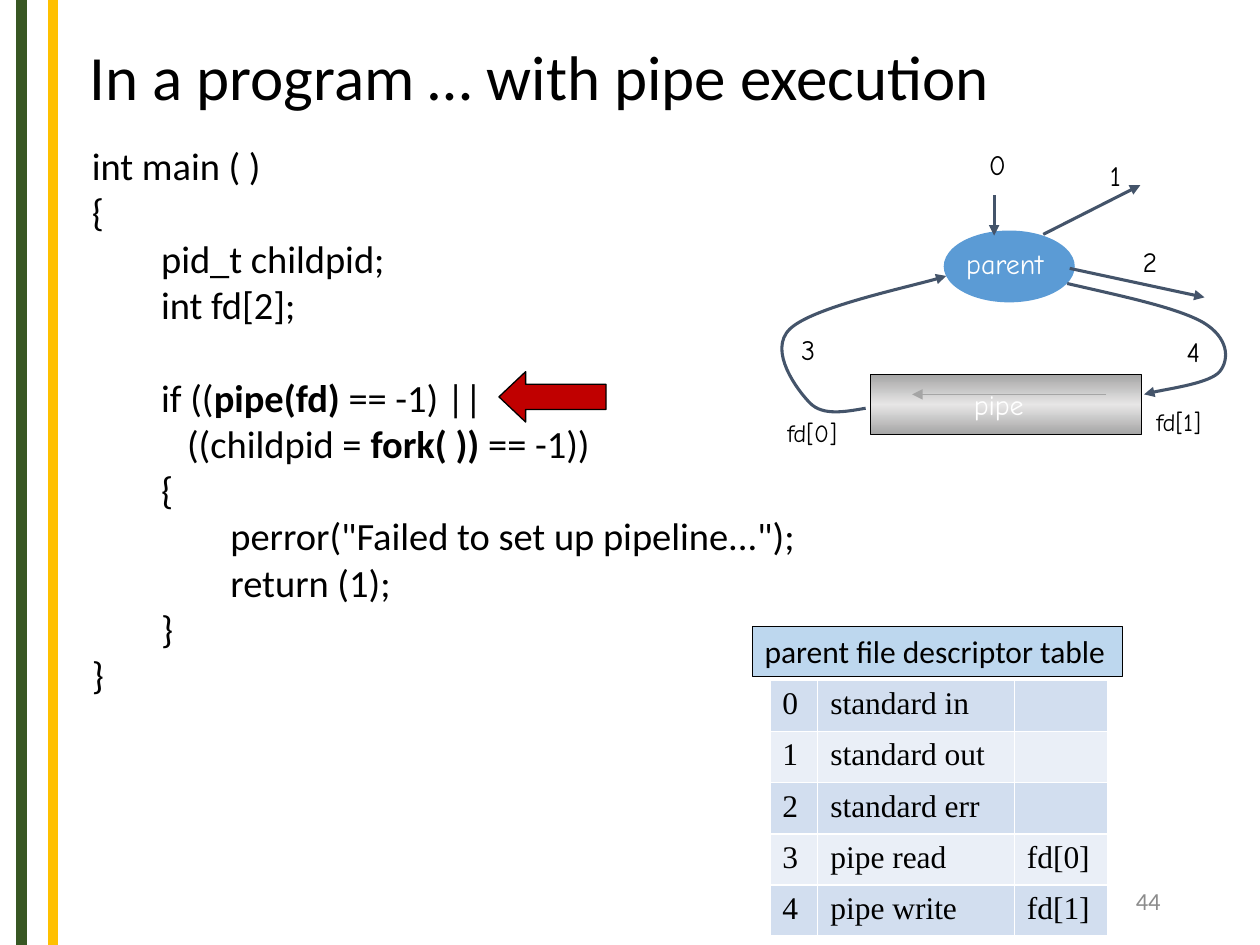
from copy import deepcopy
from dataclasses import dataclass
from typing import NamedTuple

from pptx import Presentation
from pptx.dml.color import RGBColor
from pptx.enum.shapes import MSO_CONNECTOR, MSO_SHAPE
from pptx.enum.text import MSO_ANCHOR, MSO_AUTO_SIZE, PP_ALIGN
from pptx.oxml.ns import qn
from pptx.util import Inches, Pt
from lxml import etree

STRAIGHT = MSO_CONNECTOR.STRAIGHT
RECTANGLE, OVAL, LEFT_ARROW = MSO_SHAPE.RECTANGLE, MSO_SHAPE.OVAL, MSO_SHAPE.LEFT_ARROW
TOP, MIDDLE = MSO_ANCHOR.TOP, MSO_ANCHOR.MIDDLE
LEFT, RIGHT = PP_ALIGN.LEFT, PP_ALIGN.RIGHT
GROW = MSO_AUTO_SIZE.SHAPE_TO_FIT_TEXT
COLUMNS, ROWS = 100, 75
BODY, SKETCH, SERIF = "Calibri", "Comic Neue", "Times New Roman"
BLACK, WHITE, SLATE, GREY = "000000", "FFFFFF", "44546A", "A5A5A5"

deck = Presentation()
deck.slide_width, deck.slide_height = Inches(10), Inches(7.5)
page = deck.slides.add_slide(deck.slide_layouts[6])


class Area(NamedTuple):
    column: float
    row: float
    columns: float
    rows: float


@dataclass
class Label:
    text: str
    area: Area
    size: float = 16
    color: str = BLACK
    font: str = SKETCH


@dataclass
class Line:
    start: tuple[float, float]
    end: tuple[float, float]
    color: str = SLATE
    width: float = 1.75
    arrow: bool = True


def across(columns: float) -> int:
    return round(deck.slide_width * columns / COLUMNS)


def down(rows: float) -> int:
    return round(deck.slide_height * rows / ROWS)


def place(area: Area) -> tuple[int, int, int, int]:
    return across(area.column), down(area.row), across(area.columns), down(area.rows)


def point(spot: tuple[float, float]) -> tuple[int, int]:
    return across(spot[0]), down(spot[1])


def rgb(value: str) -> RGBColor:
    return RGBColor.from_string(value)


def write(para, spans: list[tuple[str, bool]], size: float, color: str, font: str) -> None:
    for text, bold in spans:
        span = para.add_run()
        span.text = text
        for name, value in {"size": Pt(size), "name": font, "bold": bold}.items():
            setattr(span.font, name, value)
        span.font.color.rgb = rgb(color)


def draw_label(label: Label, wrap: bool = False, anchor=TOP, align=LEFT):
    box = page.shapes.add_textbox(*place(label.area))
    frame = box.text_frame
    frame.word_wrap, frame.vertical_anchor = wrap, anchor
    if not wrap:
        frame.auto_size = GROW
    para = frame.paragraphs[0]
    para.alignment = align
    write(para, [(label.text, False)], label.size, label.color, label.font)
    return box


def stroke(shape, color: str, width: float, arrow: bool = False) -> None:
    shape.line.color.rgb = rgb(color)
    shape.line.width = Pt(width)
    if arrow:
        outline = shape._element.xpath("./p:spPr/a:ln")[0]
        etree.SubElement(outline, qn("a:tailEnd"), type="triangle")


def draw_line(line: Line) -> None:
    connector = page.shapes.add_connector(STRAIGHT, *point(line.start), *point(line.end))
    stroke(connector, line.color, line.width, line.arrow)
    etree.SubElement(connector._element.spPr, qn("a:effectLst"))


def draw_shape(kind, area: Area, fill: str, outlined: bool = True):
    shape = page.shapes.add_shape(kind, *place(area))
    shape.shadow.inherit = False
    shape.fill.solid()
    shape.fill.fore_color.rgb = rgb(fill)
    if outlined:
        stroke(shape, BLACK, 0.75)
    else:
        shape.line.fill.background()
    return shape


def draw_curve(spots: list[tuple[float, float]]) -> None:
    builder = page.shapes.build_freeform(*point(spots[0]))
    builder.add_line_segments([point(spot) for spot in spots[1:]], close=False)
    curve = builder.convert_to_shape()
    curve.shadow.inherit = False
    curve.fill.background()
    stroke(curve, SLATE, 1.75, arrow=True)
    outline = curve._element.xpath(".//a:path")[0]
    segments = outline.findall(qn("a:lnTo"))
    for first in range(0, len(segments), 3):
        bezier = etree.SubElement(outline, qn("a:cubicBezTo"))
        for segment in segments[first:first + 3]:
            bezier.append(segment[0])
            outline.remove(segment)


def shade(shape, stops: list[tuple[float, str]]) -> None:
    shape.fill.gradient()
    shape.fill.gradient_angle = 90
    stop_list = shape._element.xpath(".//a:gsLst")[0]
    while len(stop_list) < len(stops):
        stop_list.append(deepcopy(stop_list[0]))
    for stop, (position, color) in zip(shape.fill.gradient_stops, stops):
        stop.position = position
        stop.color.rgb = rgb(color)


def draw_code(area: Area, lines: list[list[tuple[str, bool]]], gap_before: int) -> None:
    frame = page.shapes.add_textbox(*place(area)).text_frame
    frame.word_wrap, frame.auto_size = False, GROW
    for index, spans in enumerate(lines):
        para = frame.add_paragraph() if index else frame.paragraphs[0]
        if index == gap_before:
            para.space_before = Pt(26.8)
        write(para, spans, 22, BLACK, BODY)


def draw_table(area: Area, widths: list[float], rows: list[tuple[str, ...]]) -> None:
    table = page.shapes.add_table(len(rows), len(widths), *place(area)).table
    table.first_row = table.horz_banding = False
    for column, width in zip(table.columns, widths):
        column.width = across(width)
    for index, texts in enumerate(rows):
        for cell, text in zip(table.rows[index].cells, texts):
            properties = cell._tc.get_or_add_tcPr()
            for side in ("a:lnL", "a:lnR", "a:lnT", "a:lnB"):
                border = etree.SubElement(properties, qn(side), w=str(Pt(1)))
                paint = etree.SubElement(border, qn("a:solidFill"))
                etree.SubElement(paint, qn("a:srgbClr"), val=WHITE)
            cell.fill.solid()
            cell.fill.fore_color.rgb = rgb("EAEFF7" if index % 2 else "D2DEEF")
            if text:
                write(cell.text_frame.paragraphs[0], [(text, False)], 18, BLACK, SERIF)


for column, color in ((1.7, "385723"), (4.2, "FFC000")):
    draw_line(Line((column, 0), (column, ROWS), color, 6, False))

title = draw_label(Label("In a program … with pipe execution", Area(6.1, 0.1, 90.2, 12.5),
                         36, BLACK, BODY), wrap=True, anchor=MIDDLE)
title.text_frame.paragraphs[0].line_spacing = 0.9

pipe = draw_shape(RECTANGLE, Area(69.1, 29.7, 21.5, 4.8), GREY)
shade(pipe, [(0, GREY), (0.5, "E7E6E6"), (1, GREY)])
draw_shape(OVAL, Area(74.9, 18.3, 10.4, 5.7), "5B9BD5", outlined=False)

draw_curve([(68.7, 32.4), (67, 32.7), (65.3, 33), (64.3, 32), (63.3, 31), (60.9, 27.8),
            (62.7, 26.1), (64.5, 24.4), (73, 22.6), (75.1, 21.9)])
draw_curve([(84.7, 22.5), (89, 23.5), (93.4, 24.4), (95.5, 25.6), (97.5, 26.8),
            (97.6, 28.5), (96.8, 29.5), (96, 30.4), (91.8, 31), (90.8, 31.3)])

for line in (
    Line((82.8, 18.6), (90.5, 14.7)),
    Line((84.9, 21.3), (95.6, 23.6)),
    Line((78.9, 15.5), (78.9, 18.7)),
    Line((87.8, 31.3), (72.4, 31.3), GREY, 0.75),
):
    draw_line(line)

for label in (
    Label("pipe", Area(76.3, 30.3, 6.2, 3.7), color=WHITE),
    Label("parent", Area(75.7, 19.1, 8.8, 3.7), color=WHITE),
    Label("0", Area(77.5, 11.2, 3.4, 3.7)),
    Label("1", Area(87.1, 12.1, 3, 3.7)),
    Label("2", Area(89.7, 18.9, 3.4, 3.7)),
    Label("3", Area(62.6, 25.9, 3.4, 3.7)),
    Label("4", Area(93.2, 26.1, 3.4, 3.7)),
    Label("fd[0]", Area(61.5, 32.7, 6.8, 3.3), 14),
    Label("fd[1]", Area(90.8, 31.8, 6.5, 3.3), 14),
):
    draw_label(label)

draw_code(Area(6.3, 10.8, 58.5, 45.4), [
    [("int main ( )", False)],
    [("{", False)],
    [("        pid_t childpid;", False)],
    [("        int fd[2];", False)],
    [("        if ((", False), ("pipe(fd) ", True), ("== -1) ||", False)],
    [("           ((childpid = ", False), ("fork( )) ", True), ("== -1))", False)],
    [("        {", False)],
    [('                perror("Failed to set up pipeline...");', False)],
    [("                return (1);", False)],
    [("        }", False)],
    [("}", False)],
], gap_before=4)

pointer = draw_shape(LEFT_ARROW, Area(39.6, 29.5, 8.5, 4), "C00000")
pointer.adjustments[1] = 0.53

heading = draw_label(Label("parent file descriptor table", Area(59.7, 49.7, 29.4, 4),
                           18, BLACK, BODY))
heading.fill.solid()
heading.fill.fore_color.rgb = rgb("BDD7EE")
stroke(heading, BLACK, 0.75)

draw_table(Area(61.1, 54, 26.8, 20.3), [3.8, 15.6, 7.4], [
    ("0", "standard in", ""),
    ("1", "standard out", ""),
    ("2", "standard err", ""),
    ("3", "pipe read", "fd[0]"),
    ("4", "pipe write", "fd[1]"),
])

draw_label(Label("44", Area(70.6, 69.5, 22.5, 4), 14, "8C8C8C", BODY),
           wrap=True, anchor=MIDDLE, align=RIGHT)

deck.save("out.pptx")
